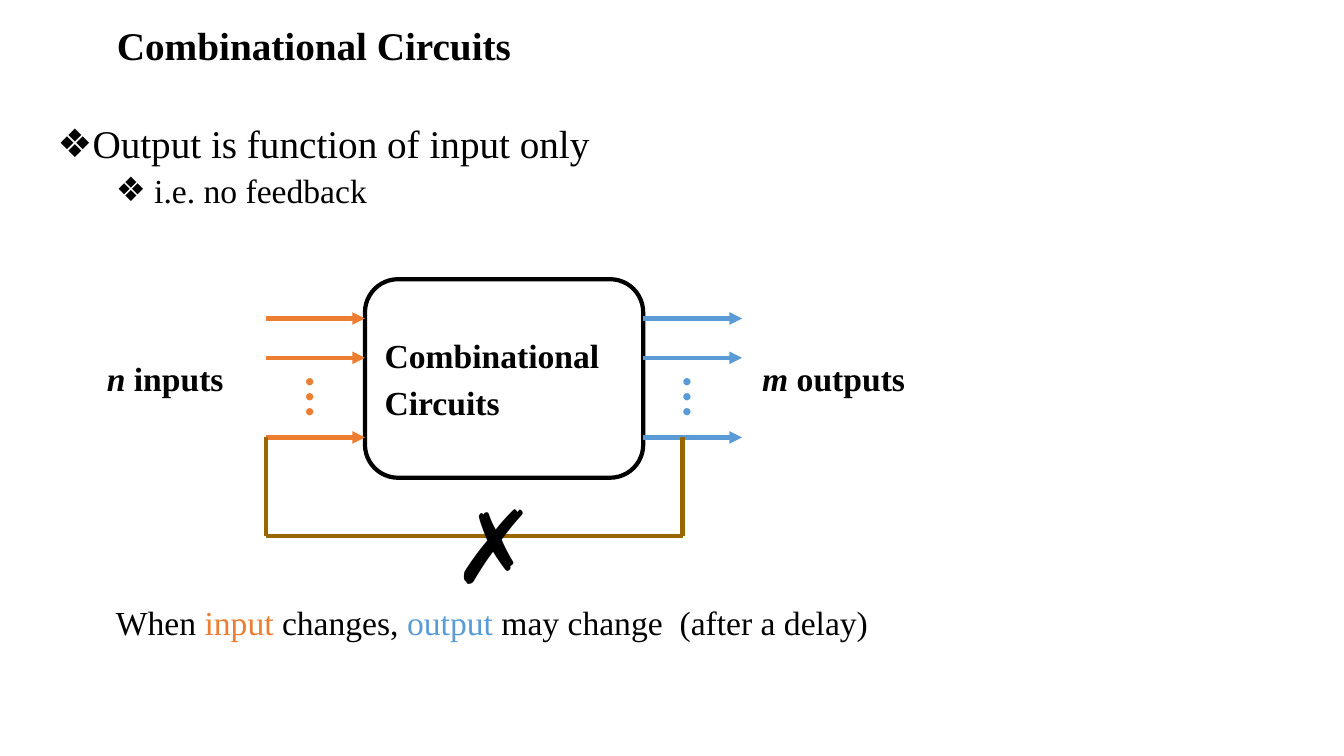
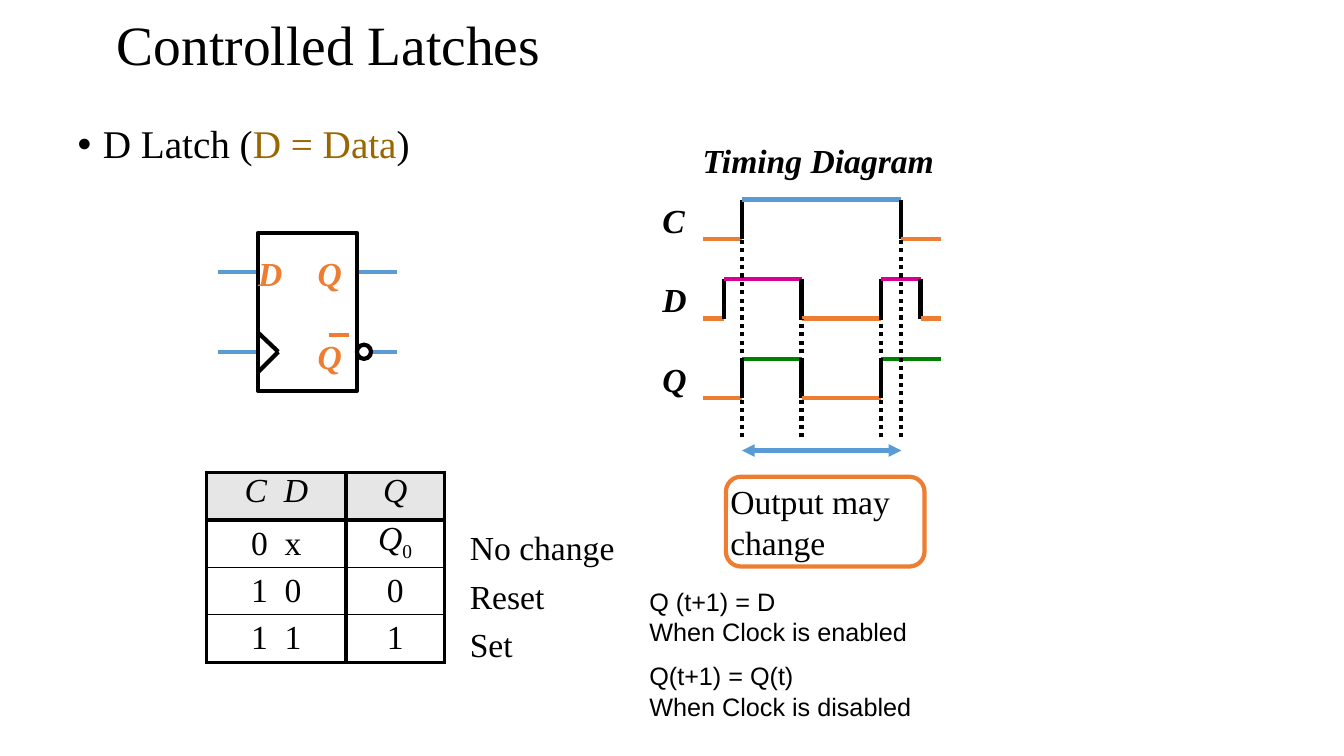
from itertools import pairwise

from lxml import etree
from pptx import Presentation
from pptx.dml.color import RGBColor
from pptx.enum import dml, shapes as sh, text
from pptx.oxml.ns import qn
from pptx.util import Inches, Pt

COLORS = {
    "ink": "000000", "paper": "FFFFFF", "input": "ED7D31", "output": "5B9BD5",
    "feedback": "996600", "data": "D60093", "state": "008000", "header": "E7E6E6",
}
SERIF = "Times New Roman"
TITLE_BOX = (1.16, 0.21, 8.46, 0.52)
WIDE_SPACE = (" ", {"spacing": 6})
TOP, MIDDLE = text.MSO_ANCHOR.TOP, text.MSO_ANCHOR.MIDDLE
LEFT, CENTER = text.PP_ALIGN.LEFT, text.PP_ALIGN.CENTER


def rgb(name):
    return RGBColor.from_string(COLORS[name])


def write(place, lines, box=None, anchor=TOP, align=LEFT, spacing=1.0, before=(),
          bullets=(), inset=0, **style):
    """Fill a shape or cell, or a new text box when box is given.

    Each line is a string or a list of runs; a run is a string or (string, style).
    A bullet is (character, left margin, hanging indent).
    """
    if box:
        frame = place.add_textbox(*map(Inches, box)).text_frame
        frame.word_wrap = True
    else:
        frame = place.text_frame
    holder = place if hasattr(place, "margin_left") else frame
    holder.margin_left = Inches(inset)
    holder.margin_right = holder.margin_top = holder.margin_bottom = 0
    holder.vertical_anchor = anchor
    for i, line_runs in enumerate(lines):
        paragraph = frame.paragraphs[0] if i == 0 else frame.add_paragraph()
        paragraph.alignment = align
        paragraph.line_spacing = spacing
        if before and before[i]:
            paragraph.space_before = Pt(before[i])
        if bullets:
            mark, margin, hanging = bullets[i]
            props = paragraph._p.get_or_add_pPr()
            props.set("marL", str(Inches(margin)))
            props.set("indent", str(-Inches(hanging)))
            etree.SubElement(props, qn("a:buFont"), typeface="Arial")
            etree.SubElement(props, qn("a:buChar"), char=mark)
        for part in [line_runs] if isinstance(line_runs, str) else line_runs:
            words, own = (part, {}) if isinstance(part, str) else part
            look = {"size": 24, "font": SERIF, "color": "ink"} | style | own
            run = paragraph.add_run()
            run.text = words
            run.font.size = Pt(look["size"])
            run.font.name = look["font"]
            run.font.color.rgb = rgb(look["color"])
            run.font.bold = look.get("bold", False)
            run.font.italic = look.get("italic", False)
            if "spacing" in look:
                run._r.get_or_add_rPr().set("spc", str(look["spacing"] * 100))
            if "baseline" in look:
                run._r.get_or_add_rPr().set("baseline", str(look["baseline"] * 1000))


def draw(shapes, color, *points, dash=None, arrows=()):
    """Join the points with straight lines; arrows names headEnd and tailEnd."""
    for (x1, y1), (x2, y2) in pairwise(points):
        segment = shapes.add_connector(sh.MSO_CONNECTOR.STRAIGHT,
                                       *map(Inches, (x1, y1, x2, y2)))
        segment.line.color.rgb = rgb(color)
        segment.line.width = Pt(3)
        if dash:
            segment.line.dash_style = dash
        props = segment._element.spPr
        for end in arrows:
            etree.SubElement(props.find(qn("a:ln")), qn("a:" + end), type="triangle")
        etree.SubElement(props, qn("a:effectLst"))


prs = Presentation()
prs.slide_width, prs.slide_height = Inches(13.33), Inches(7.5)
blank = prs.slide_layouts[6]

# Combinational circuits
page = prs.slides.add_slide(blank).shapes
write(page, ["Combinational Circuits"], TITLE_BOX, anchor=MIDDLE, spacing=0.9,
      size=28, bold=True)
write(page, [[("Output is function of input only", {"size": 28})], "i.e. no feedback"],
      (0.57, 1.24, 8.86, 0.9), spacing=0.9, before=(0, 5),
      bullets=(("❖", 0.25, 0.25), ("❖", 0.96, 0.38)))
write(page, [["When ", ("input", {"color": "input"}), " changes, ",
              ("output", {"color": "output"}), " may change", WIDE_SPACE,
              "(after a delay)"]], (1.15, 5.97, 8.28, 0.4))

circuit = page.add_shape(sh.MSO_SHAPE.ROUNDED_RECTANGLE,
                         *map(Inches, (3.62, 2.77, 2.76, 1.97)))
circuit.shadow.inherit = False
circuit.fill.background()
circuit.line.color.rgb = rgb("ink")
circuit.line.width = Pt(3)
write(circuit, ["Combinational", "Circuits"], anchor=MIDDLE, before=(0, 5),
      inset=0.1, bold=True)

for side, start, dots_left in (("input", 2.64, 3.03), ("output", 6.38, 6.77)):
    for y in (3.16, 3.55, 4.34):
        draw(page, side, (start, y), (start + 0.98, y), arrows=["tailEnd"])
    write(page, ["•"] * 3, (dots_left, 3.75, 0.2, 0.45), spacing=0.5,
          size=18, font="Arial", color=side, bold=True)
for count, noun, left in (("n", " inputs", 1.06), ("m", " outputs", 7.56)):
    write(page, [[(count, {"italic": True}), noun]], (left, 3.55, 1.57, 0.36), bold=True)

draw(page, "feedback", (6.77, 4.34), (6.77, 5.32), (2.64, 5.32), (2.64, 4.34))
write(page, ["✗"], (4.49, 4.79, 0.98, 1.08), size=72, font="Arial", bold=True)

# Controlled latches
page = prs.slides.add_slide(blank).shapes
write(page, ["Controlled Latches"], TITLE_BOX, anchor=MIDDLE, spacing=0.9, size=39.6)
write(page, [["D Latch (", ("D = Data", {"color": "feedback"}), ")"]],
      (0.77, 1.24, 8.86, 0.42), spacing=0.9, bullets=[("•", 0.25, 0.25)], size=28)

# Truth table
truth_rows = [("C", "D", ["Q"]), ("0", "x", [("Q", {"italic": True}), ("0", {"baseline": -25})]),
              ("1", "0", ["0"]), ("1", "1", ["1"])]
truth = page.add_table(4, 2, *map(Inches, (2.05, 4.69, 2.36, 1.88))).table
truth.first_row = truth.horz_banding = False
truth.columns[0].width, truth.columns[1].width = Inches(1.38), Inches(0.98)
row_rules, column_rules = (2.25, 3, 1, 1, 2.25), (2.25, 3, 2.25)
for r, (clock, data, state) in enumerate(truth_rows):
    truth.rows[r].height = Inches(0.47)
    for c, runs in enumerate(([clock, WIDE_SPACE, data], state)):
        cell = truth.cell(r, c)
        at_top = r == 0 or (r, c) == (1, 1)
        write(cell, [runs], anchor=TOP if at_top else MIDDLE, align=CENTER, italic=r == 0)
        if r == 0:
            cell.fill.solid()
            cell.fill.fore_color.rgb = rgb("header")
        else:
            cell.fill.background()
        widths = (("lnL", column_rules[c]), ("lnR", column_rules[c + 1]),
                  ("lnT", row_rules[r]), ("lnB", row_rules[r + 1]))
        for place, (edge, width) in enumerate(widths):
            border = etree.Element(qn("a:" + edge), w=str(Pt(width)))
            paint = etree.SubElement(border, qn("a:solidFill"))
            etree.SubElement(paint, qn("a:srgbClr"), val=COLORS["ink"])
            cell._tc.get_or_add_tcPr().insert(place, border)
write(page, ["No change", "Reset", "Set"], (4.66, 5.15, 1.77, 1.45), spacing=1.2)

# Timing diagram: every signal starts low and flips at each inner time
write(page, ["Timing Diagram"], (6.97, 1.39, 2.56, 0.36), bold=True, italic=True)
signals = [("C", "output", (6.97, 7.36, 8.94, 9.33)),
           ("D", "data", (6.97, 7.18, 7.95, 8.74, 9.13, 9.33)),
           ("Q", "state", (6.97, 7.36, 7.95, 8.74, 9.33))]
for i, (signal, high_color, times) in enumerate(signals):
    high = 1.98 + 0.79 * i
    low = high + 0.39
    write(page, [signal], (6.57, high, 0.26, 0.36), bold=True, italic=True)
    for step, (start, end) in enumerate(pairwise(times)):
        if step:
            draw(page, "ink", (start, low), (start, high))
        level, color = (high, high_color) if step % 2 else (low, "input")
        draw(page, color, (start, level), (end, level))
for x, top in ((7.36, 2.37), (7.95, 3.16), (8.74, 3.16), (8.94, 2.37)):
    draw(page, "ink", (x, 4.34), (x, top), dash=dml.MSO_LINE.ROUND_DOT)
draw(page, "output", (7.36, 4.47), (8.94, 4.47), arrows=["headEnd", "tailEnd"])

# Latch symbol
latch = page.add_group_shape().shapes
outlines = [
    (page, sh.MSO_SHAPE.ROUNDED_RECTANGLE, (7.2, 4.73, 1.97, 0.89), "input"),
    (latch, sh.MSO_SHAPE.RECTANGLE, (2.56, 2.31, 0.98, 1.57), "ink"),
    (latch, sh.MSO_SHAPE.OVAL, (3.54, 3.42, 0.14, 0.14), "ink"),
]
for y in (2.7, 3.49):
    for x in (2.16, 3.54):
        draw(latch, "output", (x, y), (x + 0.4, y))
for owner, preset, box, color in outlines:
    outline = owner.add_shape(preset, *map(Inches, box))
    outline.shadow.inherit = False
    outline.fill.solid()
    outline.fill.fore_color.rgb = rgb("paper")
    outline.line.color.rgb = rgb(color)
    outline.line.width = Pt(3)
    if owner is page:
        write(outline, ["Output may change"])
draw(latch, "ink", (2.56, 3.3), (2.76, 3.49), (2.56, 3.69))
for pin, x, y in (("D", 2.56, 2.51), ("Q", 3.15, 2.51), ("Q", 3.15, 3.33)):
    write(latch, [pin], (x, y, 0.39, 0.36), color="input", bold=True, italic=True)
draw(latch, "input", (3.46, 3.32), (3.26, 3.32))

write(page, ["Q (t+1) = D", "When Clock is enabled",
             "Q(t+1) = Q(t)", "When Clock is disabled"],
      (6.44, 5.81, 4.05, 1.35), anchor=MIDDLE, before=(0, 0, 10, 0), size=18, font="Arial")

prs.save("out.pptx")
